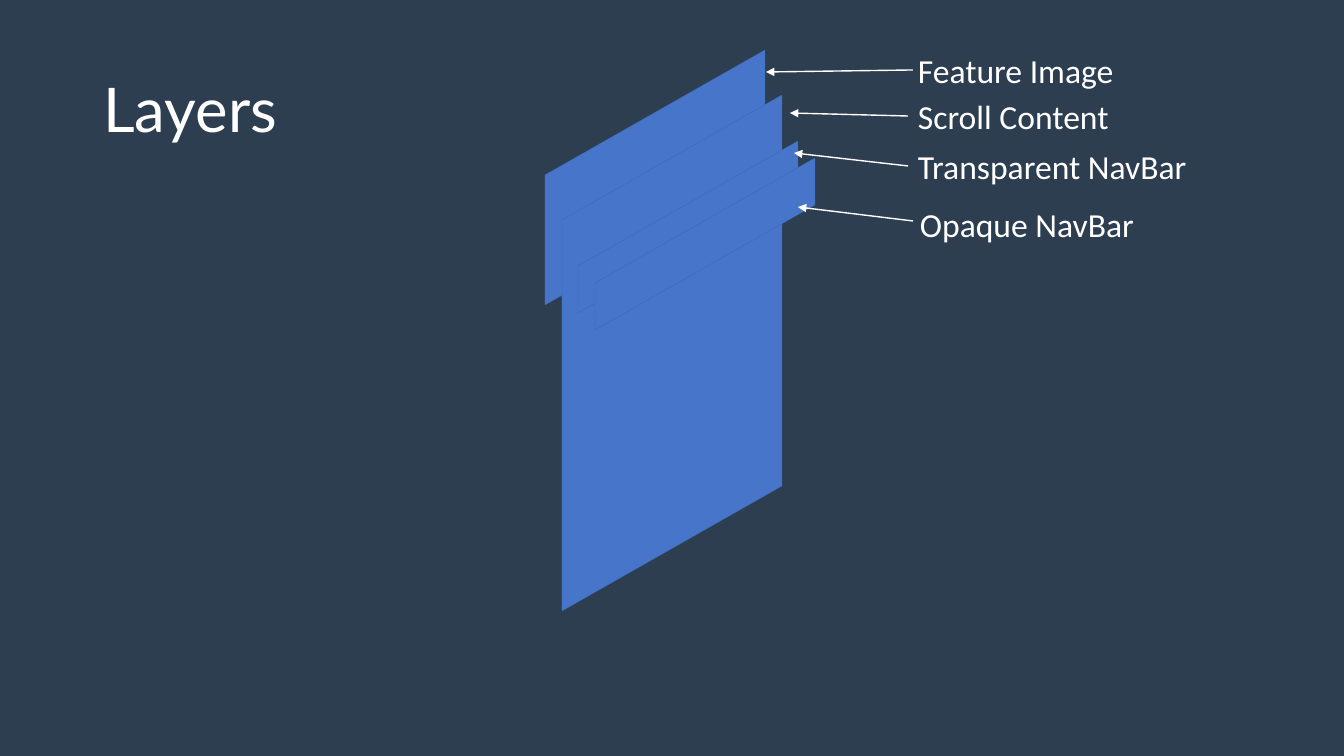
from pptx import Presentation
from pptx.dml.color import RGBColor
from pptx.enum.shapes import MSO_CONNECTOR
from pptx.enum.text import MSO_ANCHOR, MSO_AUTO_SIZE, PP_ALIGN
from pptx.oxml.ns import qn
from pptx.util import Pt
from lxml.etree import SubElement

PX = 914400 / 100.8
WHITE = "FFFFFF"


def px(*lengths):
    return [round(length * PX) for length in lengths]


def paint(color_format, hex_color):
    color_format.rgb = RGBColor.from_string(hex_color)


prs = Presentation()
prs.slide_width, prs.slide_height = px(1344, 756)
slide = prs.slides.add_slide(prs.slide_layouts[5])
slide.background.fill.solid()
paint(slide.background.fill.fore_color, "2C3E50")

# Title
title = slide.shapes.title
title.left, title.top, title.width, title.height = px(93, 40, 295, 146)
title.text_frame.text = "Layers"
title.text_frame.vertical_anchor = MSO_ANCHOR.MIDDLE
heading = title.text_frame.paragraphs[0]
heading.alignment = PP_ALIGN.LEFT
heading.line_spacing = 0.9
heading.runs[0].font.size = Pt(44)
heading.runs[0].font.name = "Lato"
paint(heading.runs[0].font.color, WHITE)

# Slanted layers, back to front: left, top of the left side, height
LAYER_WIDTH, RISE = 220, 125
for left, top, height in [(545, 175, 130), (562, 220, 391),
                          (578, 266, 47), (595, 283, 47)]:
    right = left + LAYER_WIDTH
    outline = slide.shapes.build_freeform(left, top, scale=PX)
    outline.add_line_segments([(right, top - RISE), (right, top - RISE + height),
                               (left, top + height)])
    layer = outline.convert_to_shape()
    layer.shadow.inherit = False
    layer.fill.solid()
    paint(layer.fill.fore_color, "4775C9")
    layer.line.width = Pt(0.25)
    paint(layer.line.color, "3F68B3")

# Labels with arrows: text, left, top, width, arrow start, arrow tip, joined
labels = [
    ("Feature Image", 908, 45, 218, (913, 70), (766, 72), False),
    ("Scroll Content", 908, 91, 213, (908, 116), (790, 113), True),
    ("Transparent NavBar", 908, 141, 291, (908, 166), (794, 153), True),
    ("Opaque NavBar", 910, 199, 237, (913, 221), (798, 207), False),
]
for text, left, top, width, start, tip, joined in labels:
    label = slide.shapes.add_textbox(*px(left, top, width, 50))
    label.text_frame.word_wrap = False
    label.text_frame.auto_size = MSO_AUTO_SIZE.SHAPE_TO_FIT_TEXT
    label.text_frame.text = text
    font = label.text_frame.paragraphs[0].runs[0].font
    font.size = Pt(24)
    font.name = "Calibri"
    paint(font.color, WHITE)

    arrow = slide.shapes.add_connector(MSO_CONNECTOR.STRAIGHT, *px(*start, *tip))
    if joined:
        arrow.begin_connect(label, 1)
    arrow.line.width = Pt(1)
    paint(arrow.line.color, WHITE)
    SubElement(arrow.line._get_or_add_ln(), qn("a:tailEnd"), type="triangle")
    SubElement(arrow._element.spPr, qn("a:effectLst"))

prs.save("out.pptx")
